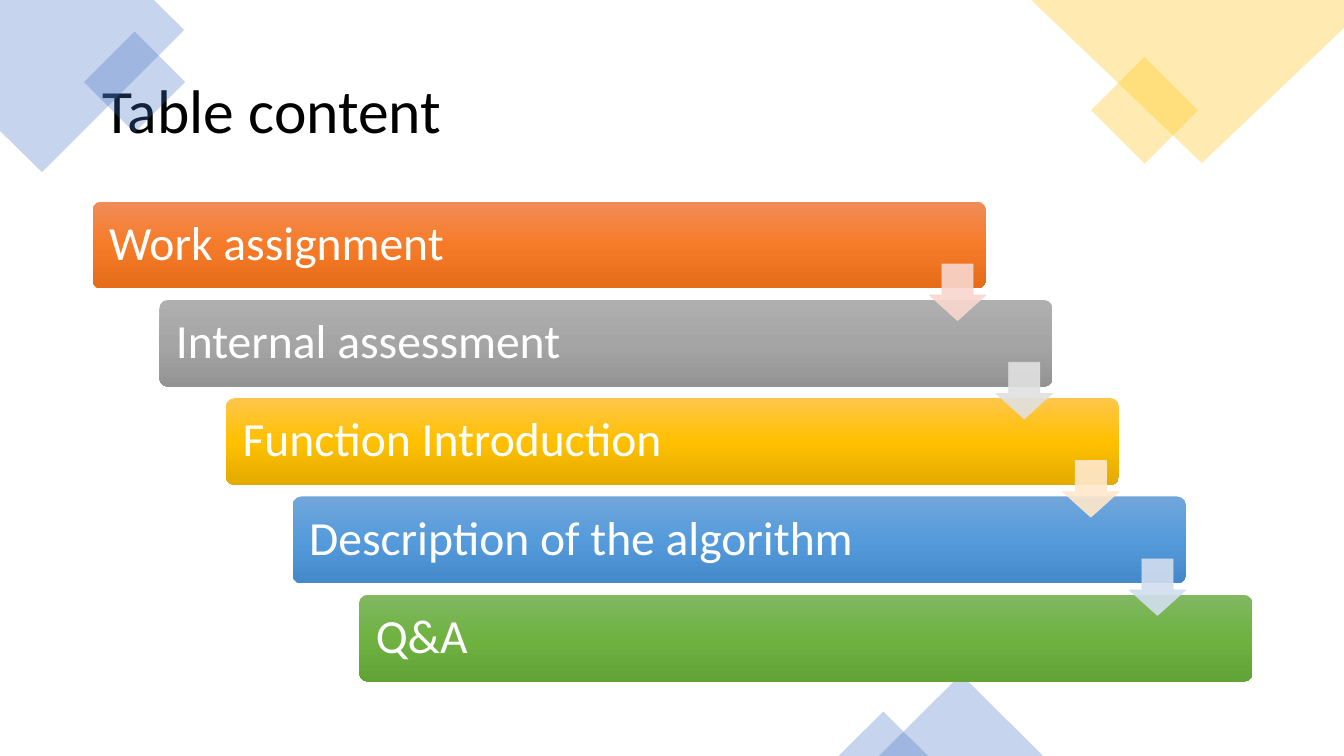
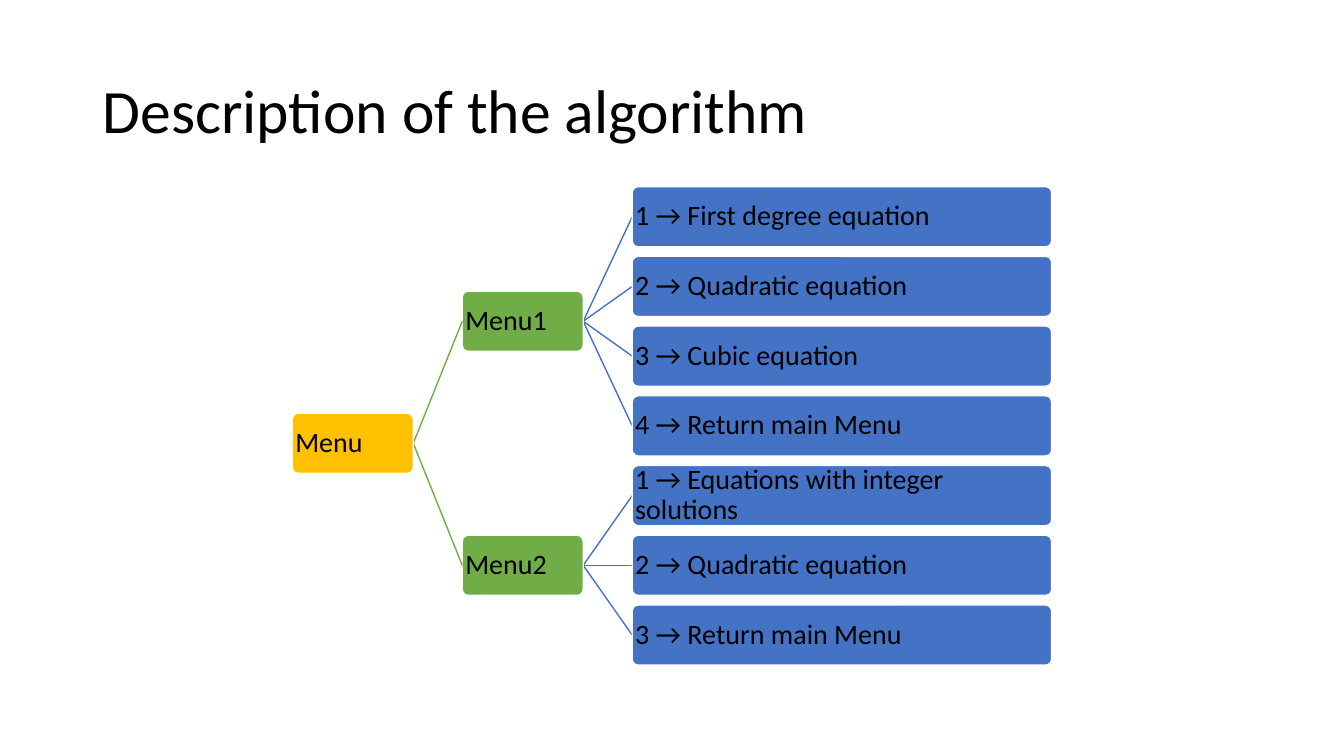
from copy import deepcopy
from lxml import etree
from pptx import Presentation
from pptx import util as u
from pptx.dml.color import RGBColor
from pptx.enum import shapes, text
from pptx.oxml.ns import qn

# Content
AGENDA = [
    ("Work assignment", ("F18C57", "F67B28", "E56C19"), "F8D7CE"),
    ("Internal assessment", ("AFAFAF", "A5A5A5", "939393"), "E1E1E1"),
    ("Function Introduction", ("FFC64B", "FFC000", "E3AB00"), "FFE8CC"),
    ("Description of the algorithm", ("71A6DB", "559BDB", "448ACA"), "D2DEEF"),
    ("Q&A", ("81B861", "6FB242", "62A336"), None),
]
MENUS = [
    ("Menu1", ["1 → First degree equation", "2 → Quadratic equation",
               "3 → Cubic equation", "4 → Return main Menu"]),
    ("Menu2", ["1 → Equations with integer solutions",
               "2 → Quadratic equation", "3 → Return main Menu"]),
]

# Shared style
FONT = "Calibri"
BLUE, YELLOW, GREEN = "4472C4", "FFC000", "70AD47"
BLACK, WHITE = "000000", "FFFFFF"
TITLE_BOX = (66.2, 28.8, 828, 104.4)
SHAPE = shapes.MSO_SHAPE

# Corner decoration
CORNERS = [
    (BLUE, [(0, 0), (110, 0), (131.5, 21.5), (30, 123), (0, 93.5)]),
    (YELLOW, [(736.5, 0), (960, 0), (960, 20), (858.5, 116.5)]),
]
ACCENTS = [
    (SHAPE.RECTANGLE, BLUE, (70.6, 33.1, 51.1, 51.1), 315),
    (SHAPE.RECTANGLE, YELLOW, (790.6, 51.8, 54, 54), 315),
    (SHAPE.ISOSCELES_TRIANGLE, BLUE, (627.8, 481.7, 117.4, 58.3), 0),
    (SHAPE.ISOSCELES_TRIANGLE, BLUE, (599, 508.3, 64, 31.7), 0),
]


def points(values):
    return [u.Pt(value) for value in values]


def paint(color_format, color):
    color_format.rgb = RGBColor.from_string(color)


def fill_solid(shape, color, opacity=100):
    shape.shadow.inherit = False
    shape.fill.solid()
    paint(shape.fill.fore_color, color)
    shape.line.fill.background()
    if opacity < 100:
        set_opacity(shape, opacity)


def set_opacity(shape, opacity):
    for color in shape._element.spPr.iter(qn("a:srgbClr")):
        etree.SubElement(color, qn("a:alpha"), val=str(opacity * 1000))


def fill_gradient(shape, colors):
    shape.shadow.inherit = False
    shape.line.fill.background()
    shape.fill.gradient()
    shape.fill.gradient_angle = 270
    stops = next(shape._element.spPr.iter(qn("a:gsLst")))
    stops.append(deepcopy(stops[-1]))
    for index, (stop, color) in enumerate(zip(shape.fill.gradient_stops, colors)):
        stop.position = index / (len(colors) - 1)
        paint(stop.color, color)


def write(shape, words, size, color, inset):
    frame = shape.text_frame
    frame.word_wrap = True
    frame.vertical_anchor = text.MSO_ANCHOR.MIDDLE
    frame.margin_left = frame.margin_right = u.Pt(inset)
    frame.margin_top = frame.margin_bottom = u.Pt(inset)
    para = frame.paragraphs[0]
    para.alignment = text.PP_ALIGN.LEFT
    para.line_spacing = 0.9
    span = para.add_run()
    span.text = words
    span.font.name = FONT
    span.font.size = u.Pt(size)
    paint(span.font.color, color)


def add_page(deck):
    return deck.slides.add_slide(deck.slide_layouts.get_by_name("Title Only"))


def add_title(page, words):
    title = page.shapes.title
    title.left, title.top, title.width, title.height = points(TITLE_BOX)
    write(title, words, 44, BLACK, 7.2)


def add_bar(page, box):
    bar = page.shapes.add_shape(SHAPE.ROUNDED_RECTANGLE, *points(box))
    bar.adjustments[0] = 0.1
    return bar


def decorate(page):
    for color, corners in CORNERS:
        start, *rest = [points(corner) for corner in corners]
        builder = page.shapes.build_freeform(*start)
        builder.add_line_segments(rest, close=True)
        fill_solid(builder.convert_to_shape(), color, 30)
    for kind, color, box, angle in ACCENTS:
        accent = page.shapes.add_shape(kind, *points(box))
        accent.rotation = angle
        fill_solid(accent, color, 30)


def add_staircase(page):
    left, top, width, height = 66.2, 144, 638, 62
    step_x, step_y, arrow_size = 47.6, 70.2, 40.4
    for index, (words, colors, _) in enumerate(AGENDA):
        bar = add_bar(page, (left + index * step_x, top + index * step_y, width, height))
        fill_gradient(bar, colors)
        write(bar, words, 34, WHITE, 10)
    # Arrows lie over the lower right corner of each step but the last
    for index, (_, _, color) in enumerate(AGENDA[:-1]):
        x = left + width - arrow_size + index * step_x
        y = top + 44.6 + index * step_y
        arrow = page.shapes.add_shape(
            SHAPE.DOWN_ARROW, *points((x, y, arrow_size, arrow_size)))
        arrow.adjustments[0], arrow.adjustments[1] = 0.55, 0.45
        fill_solid(arrow, color)
        paint(arrow.line.color, color)
        arrow.line.width = u.Pt(0.5)
        set_opacity(arrow, 90)


# Menu tree: three columns, each parent centred on its children
NODE_HEIGHT, ROW_PITCH, FIRST_ROW = 43, 49.8, 154.8
COLUMNS = [(208.8, 86.4, YELLOW), (330.2, 86.4, GREEN), (451.6, 299.6, BLUE)]


def add_node(page, words, level, middle):
    left, width, color = COLUMNS[level]
    node = add_bar(page, (left, middle - NODE_HEIGHT / 2, width, NODE_HEIGHT))
    fill_solid(node, color)
    paint(node.line.color, WHITE)
    node.line.width = u.Pt(1)
    write(node, words, 20, BLACK, 0.9)


def add_branch(page, level, start, end):
    left, width, _ = COLUMNS[level - 1]
    target, _, color = COLUMNS[level]
    branch = page.shapes.add_connector(
        shapes.MSO_CONNECTOR.STRAIGHT, *points((left + width, start, target, end)))
    paint(branch.line.color, color)
    branch.line.width = u.Pt(1)
    etree.SubElement(branch._element.spPr, qn("a:effectLst"))


def add_tree(page):
    row, menu_middles = 0, []
    for menu, options in MENUS:
        middles = [FIRST_ROW + (row + i) * ROW_PITCH for i in range(len(options))]
        menu_middle = sum(middles) / len(middles)
        for words, middle in zip(options, middles):
            add_branch(page, 2, menu_middle, middle)
            add_node(page, words, 2, middle)
        add_node(page, menu, 1, menu_middle)
        menu_middles.append(menu_middle)
        row += len(options)
    root_middle = sum(menu_middles) / len(menu_middles)
    for middle in menu_middles:
        add_branch(page, 1, root_middle, middle)
    add_node(page, "Menu", 0, root_middle)


# Build the deck
deck = Presentation()
deck.slide_width, deck.slide_height = points((960, 540))

agenda_page = add_page(deck)
decorate(agenda_page)
add_title(agenda_page, "Table content")
add_staircase(agenda_page)

algorithm_page = add_page(deck)
add_title(algorithm_page, "Description of the algorithm")
add_tree(algorithm_page)

deck.save("out.pptx")
